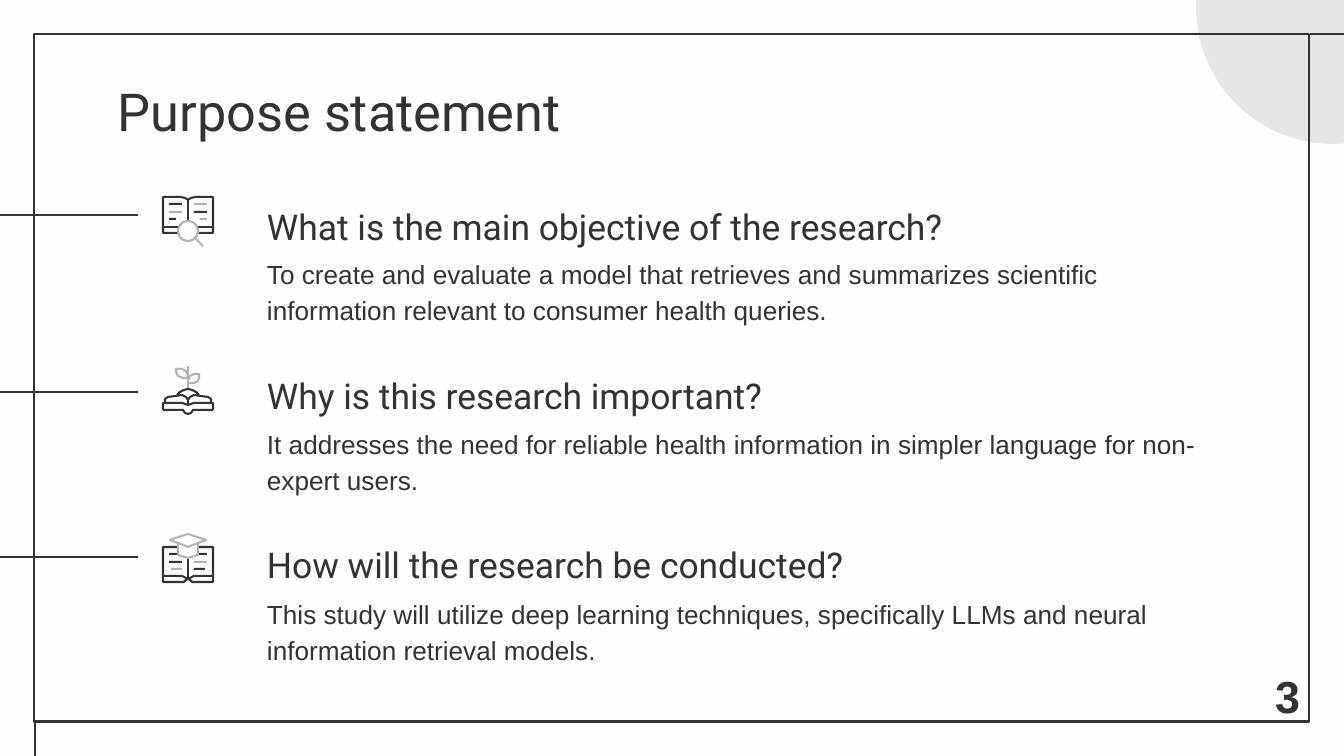
from lxml.etree import SubElement
from pptx import Presentation
from pptx.dml.color import RGBColor
from pptx.enum.shapes import MSO_CONNECTOR, MSO_SHAPE
from pptx.enum.text import MSO_ANCHOR, PP_ALIGN
from pptx.oxml.ns import qn
from pptx.util import Pt

PX = 914400 / 134.4


class Theme:
    bg, ink, light, circle = "FDFDFD", "333333", "B2B2B2", "E8E7E7"
    head_font, body_font = "Roboto", "Arial"
    title, head, body, number = 28, 19, 14, 24
    rule, stroke = 1.5, 1.1


ROWS = [
    ("What is the main objective of the research?",
     "To create and evaluate a model that retrieves and summarizes scientific "
     "information relevant to consumer health queries."),
    ("Why is this research important?",
     "It addresses the need for reliable health information in simpler "
     "language for non-expert users."),
    ("How will the research be conducted?",
     "This study will utilize deep learning techniques, specifically LLMs and "
     "neural information retrieval models."),
]
ROW_TOP, ROW_STEP = 183, 169
RULE_YS = (215, 392, 557)
ICON_X, ICON_TOPS = 188, (196, 365, 533)


def px(n):
    return round(n * PX)


def rgb(code):
    return RGBColor.from_string(code)


def paint(shape, fill=None, line=None, width=Theme.rule):
    shape.shadow.inherit = False
    if fill:
        shape.fill.solid()
        shape.fill.fore_color.rgb = rgb(fill)
    else:
        shape.fill.background()
    if line:
        shape.line.color.rgb = rgb(line)
        shape.line.width = Pt(width)
    else:
        shape.line.fill.background()


def add_box(s, kind, x, y, w, h, **look):
    paint(s.shapes.add_shape(kind, px(x), px(y), px(w), px(h)), **look)


def add_rule(s, x1, y1, x2, y2, color=Theme.ink, width=Theme.rule):
    c = s.shapes.add_connector(MSO_CONNECTOR.STRAIGHT, px(x1), px(y1), px(x2), px(y2))
    c.line.color.rgb = rgb(color)
    c.line.width = Pt(width)
    SubElement(c._element.spPr, qn("a:effectLst"))


def set_text(shape, text, size, font=Theme.body_font, bold=False,
             align=PP_ALIGN.LEFT, anchor=MSO_ANCHOR.TOP, spacing=1.0):
    tf = shape.text_frame
    tf.word_wrap = True
    tf.vertical_anchor = anchor
    tf.margin_left = tf.margin_right = tf.margin_top = tf.margin_bottom = px(13)
    p = tf.paragraphs[0]
    p.alignment, p.line_spacing = align, spacing
    r = p.add_run()
    r.text = text
    r.font.size, r.font.name, r.font.bold = Pt(size), font, bold
    r.font.color.rgb = rgb(Theme.ink)


def add_text(s, x, y, w, h, text, size, **look):
    set_text(s.shapes.add_textbox(px(x), px(y), px(w), px(h)), text, size, **look)


def add_strokes(s, top, contours, color):
    """Draw open outlines, with x measured from the icon's centre line."""
    (first, *rest), *others = contours
    fb = s.shapes.build_freeform(*first, scale=PX)
    fb.add_line_segments(rest, close=False)
    for start, *points in others:
        fb.move_to(*start)
        fb.add_line_segments(points, close=False)
    paint(fb.convert_to_shape(px(ICON_X), px(top)), line=color, width=Theme.stroke)


def mirrored(half):
    """Complete a contour that ends on the centre line."""
    return half + [(-x, y) for x, y in reversed(half)]


def add_dashes(s, top, rows):
    """Each row is y, inner and outer distance, left and right colour."""
    for y, inner, outer, left, right in rows:
        for x, color in ((-outer, left), (inner, right)):
            add_box(s, MSO_SHAPE.ROUNDED_RECTANGLE, ICON_X + x, top + y - 1,
                    outer - inner, 2, fill=color)


def add_search_icon(s, top):
    ink, light = Theme.ink, Theme.light
    add_strokes(s, top, [
        mirrored([(-9, 37), (-25, 37), (-25, 1), (-7, 1), (-3, 2), (0, 4)]),
        [(0, 4), (0, 26)],
        [(-25, 31), (-9, 31)], [(9, 31), (25, 31)]], ink)
    add_dashes(s, top, [(8, 6, 19, ink, light), (16, 6, 19, light, ink),
                        (23, 12, 19, ink, light)])
    add_box(s, MSO_SHAPE.OVAL, ICON_X - 10, top + 25, 20, 20,
            line=light, width=Theme.stroke)
    add_rule(s, ICON_X + 7, top + 42, ICON_X + 15, top + 50, light, Theme.stroke)


def add_sprout_icon(s, top):
    add_strokes(s, top, [
        [(0, 1), (0, 24)],
        [(0, 13), (0, 10), (-2, 6), (-6, 4), (-12, 4), (-12, 7), (-10, 11),
         (-5, 13), (0, 13)],
        [(0, 18), (6, 18), (10, 16), (11, 13), (11, 9), (6, 9), (2, 11),
         (0, 15)]], Theme.light)
    add_strokes(s, top, [
        mirrored([(-11, 30), (-8, 27), (-4, 25), (0, 24)]),
        mirrored([(-23, 38), (-23, 34), (-20, 32), (-12, 31), (-6, 30),
                  (-2, 32), (0, 35)]),
        [(0, 35), (0, 40)],
        mirrored([(-25, 45), (-25, 38), (-6, 38), (0, 40)]),
        mirrored([(-25, 45), (-5, 45), (-3, 48), (0, 49)])], Theme.ink)


def add_graduate_icon(s, top):
    ink, light = Theme.ink, Theme.light
    add_strokes(s, top, [
        mirrored([(-11, 14), (-25, 14), (-25, 49), (-4, 49), (-2, 47), (0, 46)]),
        mirrored([(-25, 43), (-6, 43), (0, 46)]),
        [(0, 25), (0, 46)]], ink)
    add_dashes(s, top, [(21, 9, 19, ink, ink), (29, 6, 19, ink, light),
                        (36, 6, 17, light, ink)])
    add_strokes(s, top, [
        mirrored([(0, 1), (-18, 7), (0, 14)]),
        mirrored([(-10, 10), (-10, 22), (0, 25)])], light)


def add_frame(s):
    add_box(s, MSO_SHAPE.OVAL, 1196, -130, 274, 274, fill=Theme.circle)
    for y in RULE_YS:
        add_rule(s, 0, y, 138, y)
    add_box(s, MSO_SHAPE.RECTANGLE, 34, 34, 1275, 688, line=Theme.ink)
    add_rule(s, 1344, 34, 1310, 34)
    add_rule(s, 35, 723, 35, 756)


def add_title(s, text):
    title = s.shapes.title
    title.left, title.top, title.width, title.height = map(px, (105, 66, 1133, 84))
    set_text(title, text, Theme.title, font=Theme.head_font)


def main():
    prs = Presentation()
    prs.slide_width, prs.slide_height = px(1344), px(756)
    s = prs.slides.add_slide(prs.slide_layouts[5])
    s.background.fill.solid()
    s.background.fill.fore_color.rgb = rgb(Theme.bg)

    add_frame(s)
    add_title(s, "Purpose statement")

    # Questions with their answers
    for i, (question, answer) in enumerate(ROWS):
        y = ROW_TOP + i * ROW_STEP
        add_text(s, 254, y + 58 + i, 972, 78, answer, Theme.body, spacing=1.15)
        add_text(s, 254, y, 972, 78, question, Theme.head, font=Theme.head_font,
                 anchor=MSO_ANCHOR.BOTTOM, spacing=1.15)

    # Icons
    icons = (add_search_icon, add_sprout_icon, add_graduate_icon)
    for add_icon, top in zip(icons, ICON_TOPS):
        add_icon(s, top)

    # Slide number
    add_text(s, 1247, 656, 81, 68, "3", Theme.number, bold=True,
             align=PP_ALIGN.CENTER)
    prs.save("out.pptx")


if __name__ == "__main__":
    main()
